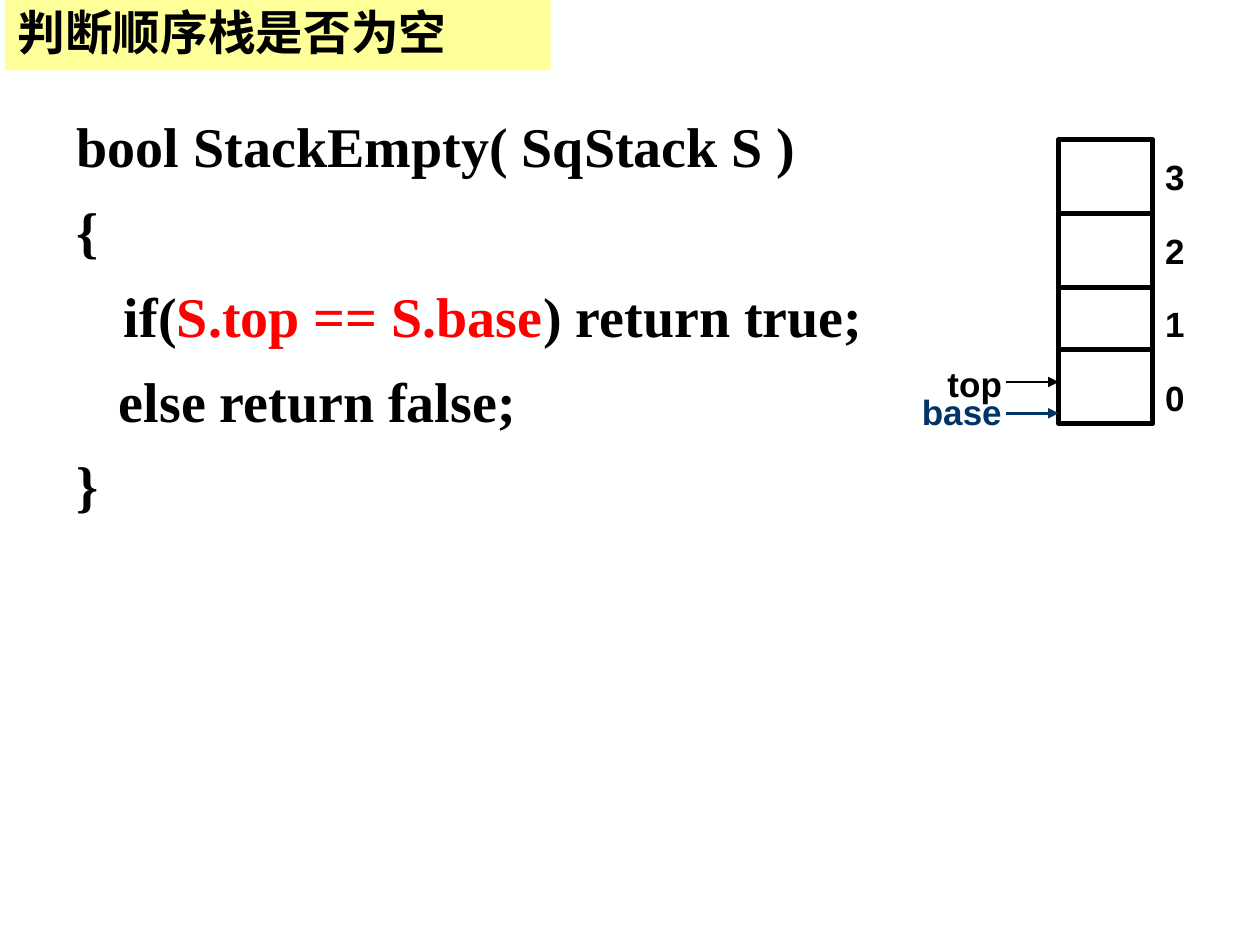
"""Build the slide on testing whether a sequential stack is empty."""
from dataclasses import dataclass
from typing import Any

import lxml.etree
import pptx
import pptx.dml.color
import pptx.enum.shapes
import pptx.enum.text
import pptx.oxml.ns
import pptx.util

Cm = pptx.util.Cm
Pt = pptx.util.Pt
Align = pptx.enum.text.PP_ALIGN
Anchor = pptx.enum.text.MSO_ANCHOR
qn = pptx.oxml.ns.qn


@dataclass(frozen=True)
class Theme:
    background: str = "FEFFFF"
    banner: str = "FFFF99"
    ink: str = "000000"
    condition: str = "FF0000"
    base: str = "003366"
    cell: str = "FFFFFF"
    title_font: str = "Noto Sans CJK SC"
    code_font: str = "Times New Roman"
    label_font: str = "Arial"
    title_size: float = 27.2
    code_size: float = 32
    label_size: float = 20
    border: float = 3
    arrow: float = 1.5


@dataclass(frozen=True)
class Box:
    left: float
    top: float
    width: float
    height: float

    def lengths(self) -> tuple:
        return tuple(Cm(v) for v in (self.left, self.top, self.width, self.height))


@dataclass(frozen=True)
class Pointer:
    name: str
    color: str
    label: Box
    arrow_y: float


THEME = Theme()
STACK = Box(21.34, 2.82, 1.9, 5.72)
DIVIDERS = (4.3, 5.8, 7.05)
INDEX_TOP, INDEX_STEP = 3.02, 1.48
ARROW_START = 20.27
POINTERS = (
    Pointer("base", THEME.base, Box(17.7, 7.75, 3.38, 1.12), 8.33),
    Pointer("top", THEME.ink, Box(17.96, 7.19, 3.38, 1.12), 7.7),
)
CODE = (
    (("bool StackEmpty( SqStack S )", THEME.ink),),
    (("{", THEME.ink),),
    (("\tif(", THEME.ink), ("S.top == S.base", THEME.condition),
     (") return true;", THEME.ink)),
    (("   else return false;", THEME.ink),),
    (("}", THEME.ink),),
)


def rgb(value: str) -> pptx.dml.color.RGBColor:
    return pptx.dml.color.RGBColor.from_string(value)


def apply(target: Any, formats: dict) -> None:
    for attribute, value in formats.items():
        setattr(target, attribute, value)


def add_run(paragraph: Any, text: str, face: str, size: float, color: str) -> None:
    run = paragraph.add_run()
    run.text = text
    apply(run.font, {"name": face, "size": Pt(size), "bold": True})
    run.font.color.rgb = rgb(color)
    east_asian = lxml.etree.SubElement(run.font._element, qn("a:ea"))
    east_asian.set("typeface", face)


def add_title(slide: Any, text: str) -> None:
    title = slide.shapes.title
    apply(title, dict(zip(("left", "top", "width", "height"),
                          Box(0.1, 0, 11, 1.42).lengths())))
    title.fill.solid()
    title.fill.fore_color.rgb = rgb(THEME.banner)
    apply(title.text_frame, {"vertical_anchor": Anchor.MIDDLE, "word_wrap": True,
                             "auto_size": pptx.enum.text.MSO_AUTO_SIZE.NONE})
    heading = title.text_frame.paragraphs[0]
    apply(heading, {"alignment": Align.LEFT, "line_spacing": 0.9})
    add_run(heading, text, THEME.title_font, THEME.title_size, THEME.ink)


def add_code(slide: Any) -> None:
    frame = slide.shapes.add_textbox(*Box(1.3, 2.13, 17.98, 8.99).lengths()).text_frame
    frame.word_wrap = True
    for number, pieces in enumerate(CODE):
        line = frame.add_paragraph() if number else frame.paragraphs[0]
        if number:
            line.space_before = Pt(10)
        properties = line._p.get_or_add_pPr()
        properties.set("marL", str(Cm(0.95)))
        properties.set("indent", str(-Cm(0.95)))
        for text, color in pieces:
            add_run(line, text, THEME.code_font, THEME.code_size, color)


def add_label(shapes: Any, text: str, box: Box, color: str, alignment: Any) -> None:
    frame = shapes.add_textbox(*box.lengths()).text_frame
    frame.word_wrap = True
    frame.paragraphs[0].alignment = alignment
    add_run(frame.paragraphs[0], text, THEME.label_font, THEME.label_size, color)


def add_line(shapes: Any, start: float, end: float, y: float, color: str,
             weight: float, arrow: bool = False) -> None:
    line = shapes.add_connector(pptx.enum.shapes.MSO_CONNECTOR.STRAIGHT,
                                Cm(start), Cm(y), Cm(end), Cm(y))
    line.line.width = Pt(weight)
    line.line.color.rgb = rgb(color)
    if arrow:
        tail = lxml.etree.SubElement(line.line._get_or_add_ln(), qn("a:tailEnd"))
        tail.set("type", "triangle")
    lxml.etree.SubElement(line._element.spPr, qn("a:effectLst"))


def add_stack(slide: Any) -> None:
    shapes = slide.shapes.add_group_shape().shapes
    right = STACK.left + STACK.width
    cells = shapes.add_shape(pptx.enum.shapes.MSO_SHAPE.RECTANGLE, *STACK.lengths())
    cells.shadow.inherit = False
    cells.fill.solid()
    cells.fill.fore_color.rgb = rgb(THEME.cell)
    cells.line.color.rgb = rgb(THEME.ink)
    cells.line.width = Pt(THEME.border)
    for y in DIVIDERS:
        add_line(shapes, STACK.left, right, y, THEME.ink, THEME.border)
    for pointer in POINTERS:
        add_label(shapes, pointer.name, pointer.label, pointer.color, Align.CENTER)
        add_line(shapes, ARROW_START, STACK.left, pointer.arrow_y, pointer.color,
                 THEME.arrow, arrow=True)
    for row, index in enumerate("3210"):
        add_label(shapes, index, Box(right, INDEX_TOP + row * INDEX_STEP, 0.84, 1.12),
                  THEME.ink, Align.LEFT)


def main() -> None:
    deck = pptx.Presentation()
    apply(deck, {"slide_width": Cm(25.4), "slide_height": Cm(19.05)})
    slide = deck.slides.add_slide(deck.slide_layouts.get_by_name("Title Only"))
    slide.background.fill.solid()
    slide.background.fill.fore_color.rgb = rgb(THEME.background)
    add_title(slide, "判断顺序栈是否为空")
    add_code(slide)
    add_stack(slide)
    deck.save("out.pptx")


if __name__ == "__main__":
    main()
